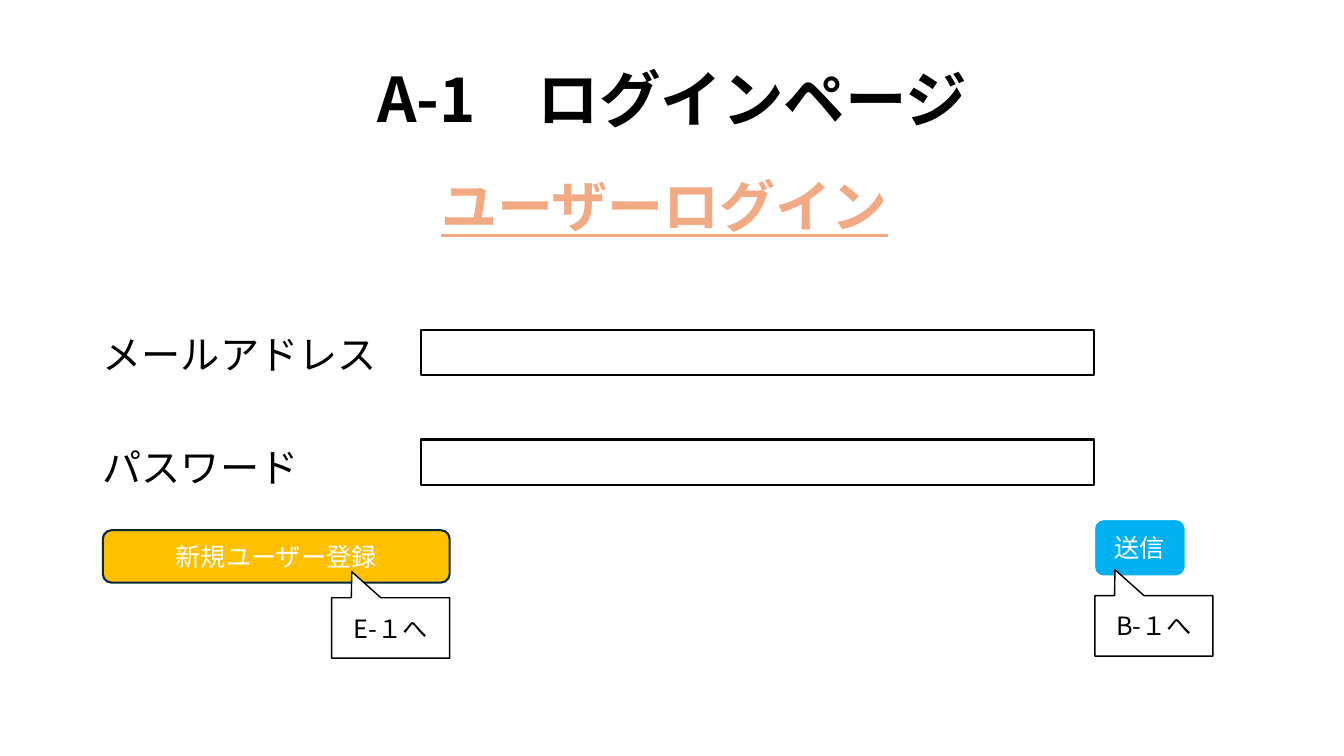
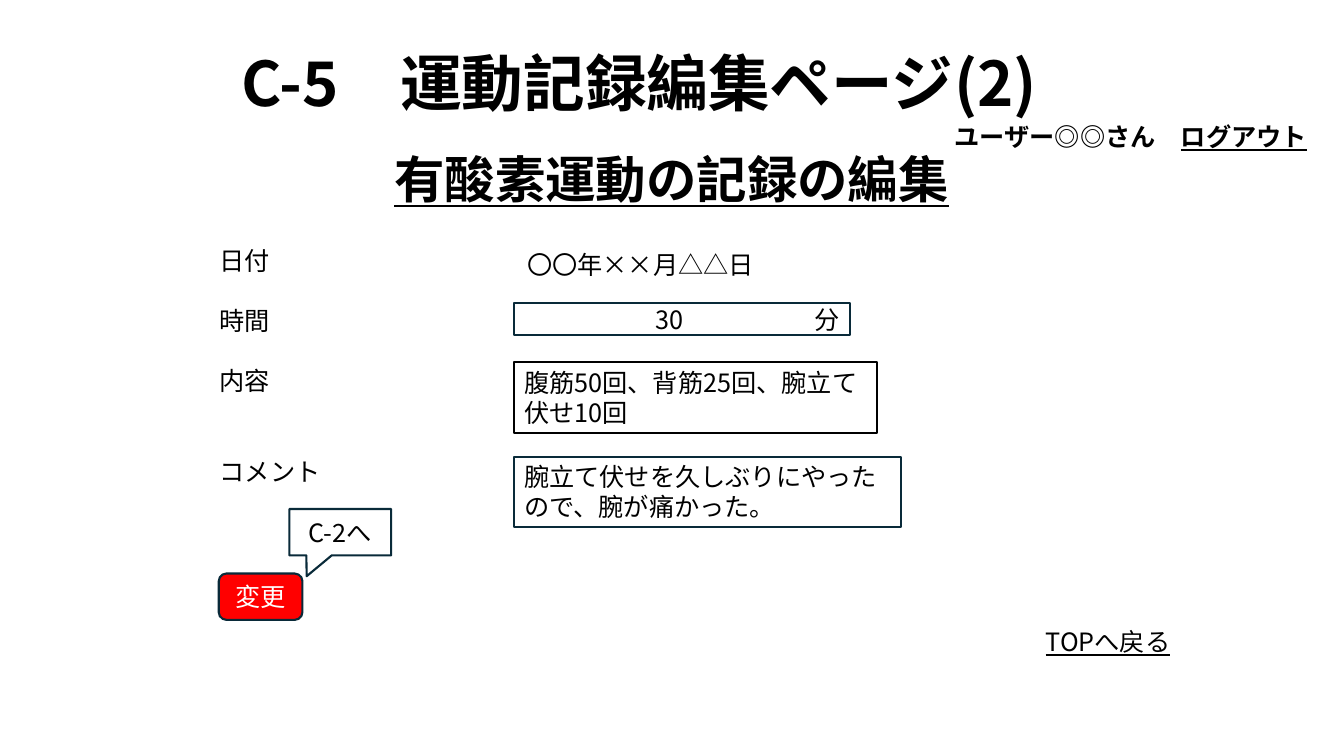
from pptx import Presentation
from pptx.dml.color import RGBColor
from pptx.enum.shapes import MSO_SHAPE
from pptx.enum.text import MSO_ANCHOR, PP_ALIGN
from pptx.oxml.ns import qn
from pptx.util import Inches, Pt

COLORS = {
    "black": "000000",
    "white": "FFFFFF",
    "peach": "F2AA84",
    "sky": "00B0F0",
    "amber": "FFC000",
    "red": "FF0000",
    "navy": "092A39",
}
FONT = "Noto Sans CJK JP"
LINE_HEIGHT = 1.2


def color(name):
    return RGBColor.from_string(COLORS[name])


def write(shape, text, size=18, ink="black", bold=False, underline=False,
          align=PP_ALIGN.CENTER, anchor=MSO_ANCHOR.MIDDLE):
    """Append text to the shape's first paragraph and format the new run."""
    frame = shape.text_frame
    frame.word_wrap = True
    frame.vertical_anchor = anchor
    para = frame.paragraphs[0]
    para.alignment = align
    para.line_spacing = Pt(size * LINE_HEIGHT)
    span = para.add_run()
    span.text = text
    font = span.font
    font.name, font.size = FONT, Pt(size)
    font.bold, font.underline = bold, underline
    font.color.rgb = color(ink)
    properties = span._r.get_or_add_rPr()
    east_asian = properties.makeelement(qn("a:ea"), {"typeface": FONT})
    properties.find(qn("a:latin")).addnext(east_asian)


class Wireframe:
    """Holds the deck, the current page and the style of each element."""

    def __init__(self):
        self.deck = Presentation()
        self.deck.slide_width = Inches(13.33)
        self.deck.slide_height = Inches(7.5)
        self.page = None

    def add_page(self, title, left, top):
        self.page = self.deck.slides.add_slide(self.deck.slide_layouts[6])
        self.text(title, left, top, 11.5, 1.14, size=44, bold=True)

    def text(self, text, left, top, width, height, **style):
        box = self.page.shapes.add_textbox(
            Inches(left), Inches(top), Inches(width), Inches(height))
        write(box, text, **style)
        return box

    def heading(self, text, left, top, size, ink="black"):
        self.text(text, left, top, 5.78, 0.75, size=size, ink=ink, bold=True,
                  underline=True, anchor=MSO_ANCHOR.TOP)

    def label(self, text, left, top, size=18):
        self.text(text, left, top, 3, size / 45, size=size,
                  align=PP_ALIGN.LEFT, anchor=MSO_ANCHOR.TOP)

    def shape(self, kind, left, top, width, height, fill="white",
              line="black", weight=1.5):
        shape = self.page.shapes.add_shape(
            kind, Inches(left), Inches(top), Inches(width), Inches(height))
        shape.shadow.inherit = False
        shape.fill.solid()
        shape.fill.fore_color.rgb = color(fill)
        shape.line.color.rgb = color(line)
        shape.line.width = Pt(weight)
        return shape

    def field(self, left, top, width, height, text="", line="black", **style):
        box = self.shape(MSO_SHAPE.RECTANGLE, left, top, width, height, line=line)
        if text:
            write(box, text, **style)

    def button(self, text, left, top, width, height, fill, line="navy",
               kind=MSO_SHAPE.FLOWCHART_ALTERNATE_PROCESS):
        box = self.shape(kind, left, top, width, height, fill, line)
        write(box, text, ink="white")

    def callout(self, text, left, top, width=1.17, height=0.6,
                tip=(-0.33, -0.93), line="black", weight=1):
        box = self.shape(MSO_SHAPE.RECTANGULAR_CALLOUT, left, top, width,
                         height, line=line, weight=weight)
        box.adjustments[0], box.adjustments[1] = tip
        write(box, text)


def build_login(frame):
    frame.add_page("A-1　ログインページ", 0.92, 0.4)
    frame.heading("ユーザーログイン", 3.7, 1.65, 40, "peach")
    for row, name in enumerate(["メールアドレス", "パスワード"]):
        frame.label(name, 0.92, 3.23 + 1.12 * row, size=28)
        frame.field(4.18, 3.27 + 1.09 * row, 6.67, 0.45)
    frame.button("送信", 10.85, 5.15, 0.91, 0.57, "sky", line="white")
    frame.callout("B-１へ", 10.86, 5.91)
    frame.button("新規ユーザー登録", 1.02, 5.26, 3.44, 0.52, "amber")
    frame.callout("E-１へ", 3.29, 5.93)


def build_record_edit(frame):
    frame.add_page("C-5　運動記録編集ページ(2)", 0.59, 0.24)
    frame.heading("有酸素運動の記録の編集", 3.77, 1.42, 36)
    account = frame.text("ユーザー◎◎さん　", 9.37, 1.15, 3.96, 0.4,
                         bold=True, align=PP_ALIGN.LEFT)
    write(account, "ログアウト", bold=True, underline=True, align=PP_ALIGN.LEFT)

    label_lines = {"日付": 0, "時間": 2, "内容": 4, "コメント": 7}
    for name, line in label_lines.items():
        frame.label(name, 2.08, 2.38 + 0.3 * line)

    field_left = 5.1
    frame.text("〇〇年××月△△日", field_left + 0.03, 2.47, 3.33, 0.31,
               align=PP_ALIGN.LEFT)
    frame.field(field_left, 3.01, 3.33, 0.31, "分", line="navy",
                align=PP_ALIGN.RIGHT)
    frame.text("30", field_left, 3.01, 1.78, 0.31, align=PP_ALIGN.RIGHT)
    note = {"align": PP_ALIGN.LEFT, "anchor": MSO_ANCHOR.TOP}
    frame.field(field_left, 3.59, 3.6, 0.71,
                "腹筋50回、背筋25回、腕立て伏せ10回", **note)
    frame.field(field_left, 4.53, 3.84, 0.7,
                "腕立て伏せを久しぶりにやったので、腕が痛かった。",
                line="navy", **note)

    frame.button("変更", 2.17, 5.69, 0.83, 0.46, "red",
                 kind=MSO_SHAPE.ROUNDED_RECTANGLE)
    frame.callout("C-2へ", 2.87, 5.05, 1.01, 0.46, tip=(-0.33, 0.95),
                  line="navy", weight=1.5)
    frame.text("TOPへ戻る", 9.56, 6.16, 2.86, 0.4, underline=True)


def main():
    frame = Wireframe()
    build_login(frame)
    build_record_edit(frame)
    frame.deck.save("out.pptx")


if __name__ == "__main__":
    main()
